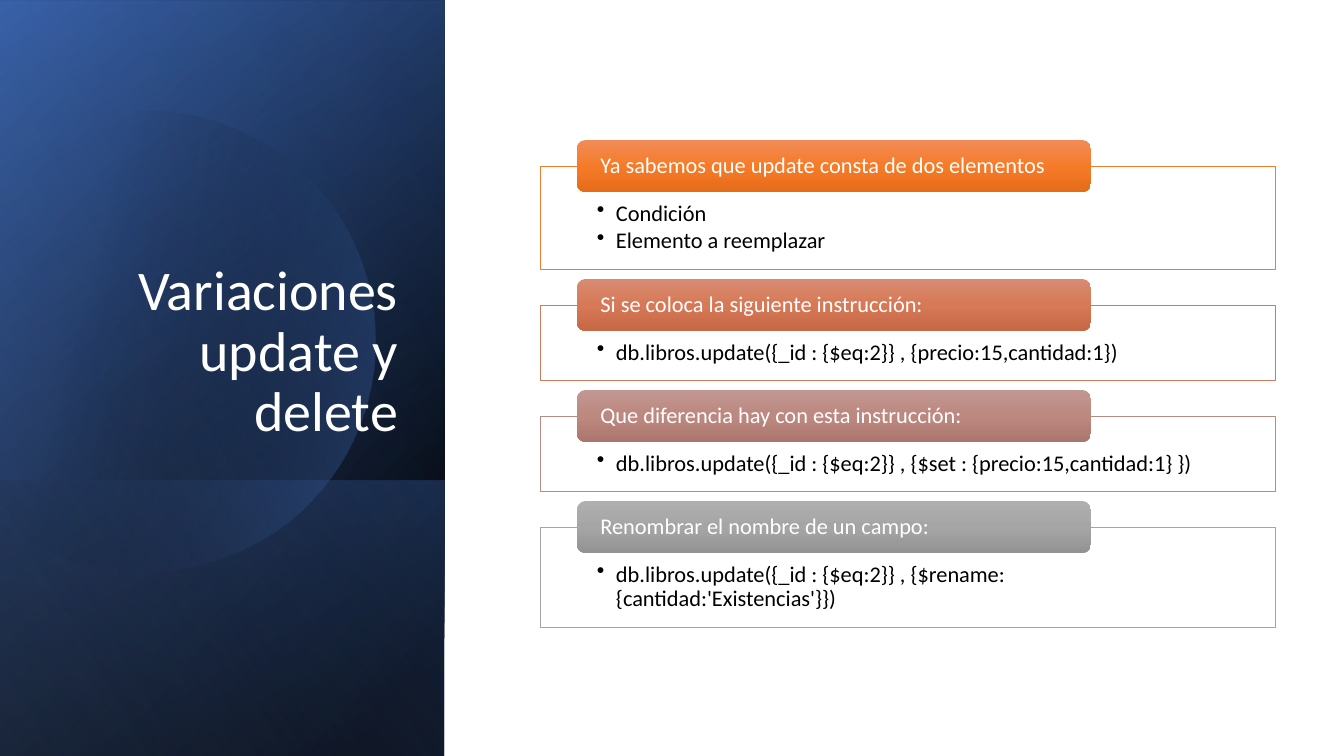
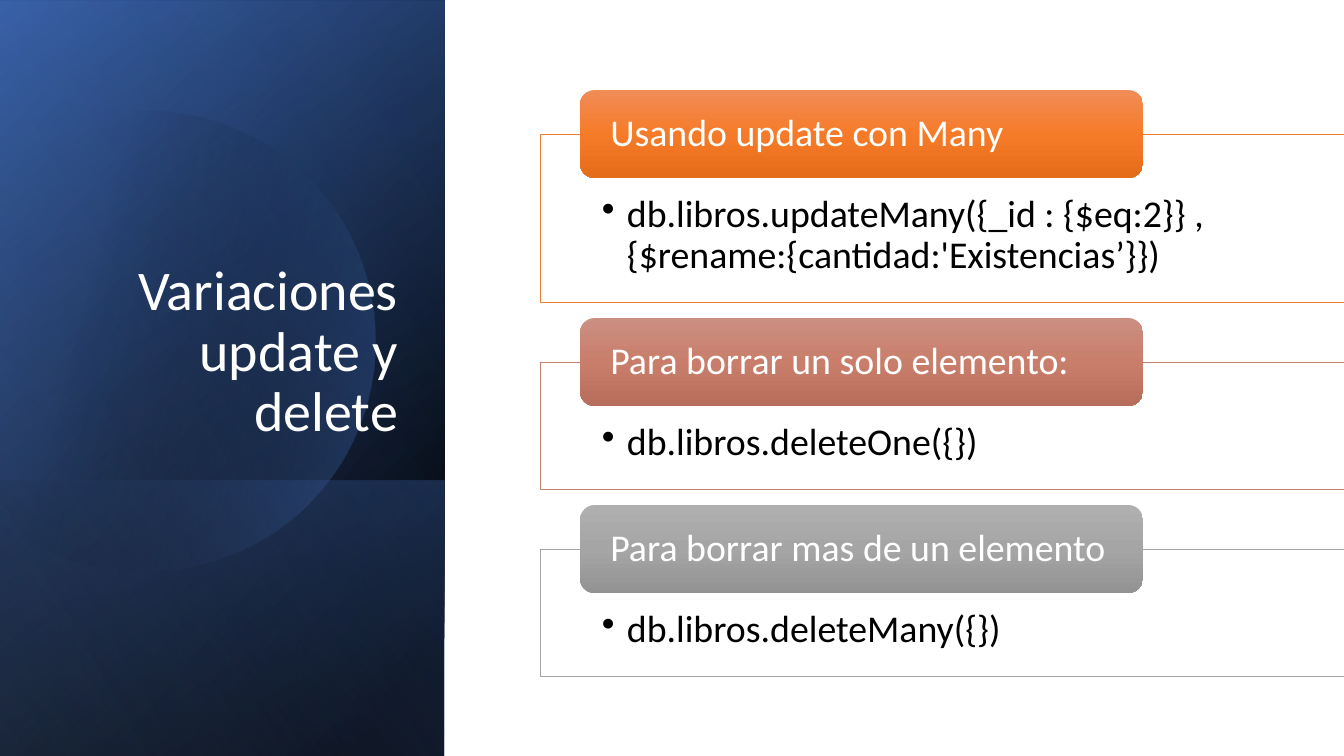
"""Build two slides on update and delete variations."""
from dataclasses import dataclass
from typing import Any

from lxml import etree
from pptx import Presentation
from pptx import util as u
from pptx.dml.color import RGBColor
from pptx.enum import shapes, text
from pptx.oxml import ns

EMU_PER_PIXEL = 914400 / 100.8
WIDTH, HEIGHT = 1344, 756
BAND_WIDTH = 445
FONT = "Calibri"
WHITE, BLACK, BLUE = "FFFFFF", "000000", "4472C4"
TITLE = "Variaciones update y delete"

Point = tuple[int, int]
Box = tuple[int, int, int, int]


@dataclass(frozen=True)
class Stop:
    """One gradient stop; position and opacity in percent."""
    position: int
    color: str
    opacity: int = 100


@dataclass(frozen=True)
class Layer:
    """A full-width gradient layer of the left band."""
    top: int
    height: int
    stops: tuple[Stop, ...]
    angle: int


@dataclass(frozen=True)
class Palette:
    """Outline colour and header gradient of one section."""
    line: str
    header: tuple[str, str, str]


@dataclass(frozen=True)
class Section:
    """A header with the bullets in the panel below it."""
    heading: str
    bullets: tuple[str, ...]
    height: int
    palette: Palette


@dataclass(frozen=True)
class ListStyle:
    """Measures shared by all sections of one slide."""
    top: int
    width: int
    gap: int
    header_height: int
    header_inset: int
    panel_insets: Box
    hanging: int
    size: int


LAYERS = (
    Layer(0, HEIGHT, (Stop(8, BLACK), Stop(100, "2F5597")), 50),
    Layer(0, HEIGHT, (Stop(0, BLACK, 0), Stop(99, BLUE, 46)), 30),
    Layer(480, 276, (Stop(2, BLUE, 29), Stop(100, BLACK, 30)), 130),
)
SHEEN = Layer(0, HEIGHT, (Stop(0, BLACK, 0), Stop(99, "8FAADC", 11)), 120)
DISC_STOPS = (Stop(29, BLACK, 0), Stop(100, BLUE, 43))
DISC_ANGLE = 14
DISC_START = (150, 111)
# Three points are a Bézier curve, one point is a straight line.
DISC_SEGMENTS: tuple[tuple[Point, ...], ...] = (
    ((248, 113), (338, 178), (366, 277)),
    ((401, 401), (331, 527), (209, 562)),
    ((132, 585), (53, 565), (-3, 518)),
    ((-15, 507),),
    ((-15, 176),),
    ((0, 162),),
    ((23, 143), (50, 129), (81, 120)),
    ((104, 114), (127, 111), DISC_START),
)

ORANGE = Palette("ED7D31", ("F18C57", "F67B28", "E56C19"))
TERRACOTTA = Palette("D17B5C", ("D78B72", "D77956", "C66846"))
ROSE = Palette("B98A82", ("C19791", "BC8880", "AA766E"))
BRICK = Palette("C48170", ("CB8F81", "C97E6B", "B76D5B"))
GRAY = Palette("A5A5A5", ("AFAFAF", "A5A5A5", "939393"))

UPDATE_STYLE = ListStyle(166, 735, 36, 52, 21, (57, 36, 57, 12), 19, 16)
UPDATE_SECTIONS = (
    Section("Ya sabemos que update consta de dos elementos",
            ("Condición", "Elemento a reemplazar"), 103, ORANGE),
    Section("Si se coloca la siguiente instrucción:",
            ("db.libros.update({_id : {$eq:2}} , {precio:15,cantidad:1})",),
            75, TERRACOTTA),
    Section("Que diferencia hay con esta instrucción:",
            ("db.libros.update({_id : {$eq:2}} , "
             "{$set : {precio:15,cantidad:1} })",), 75, ROSE),
    Section("Renombrar el nombre de un campo:",
            ("db.libros.update({_id : {$eq:2}} , "
             "{$rename:{cantidad:'Existencias'}})",), 100, GRAY),
)
DELETE_STYLE = ListStyle(134, 804, 60, 88, 26, (62, 61, 62, 21), 25, 27)
DELETE_SECTIONS = (
    Section("Usando update con Many",
            ("db.libros.updateMany({_id : {$eq:2}} , "
             "{$rename:{cantidad:'Existencias’}})",), 168, ORANGE),
    Section("Para borrar un solo elemento:",
            ("db.libros.deleteOne({})",), 127, BRICK),
    Section("Para borrar mas de un elemento",
            ("db.libros.deleteMany({})",), 127, GRAY),
)
SECTIONS_LEFT = 540


def px(pixels: float) -> u.Emu:
    """Turn pixels into EMU."""
    return u.Emu(round(pixels * EMU_PER_PIXEL))


def rgb(color: str) -> RGBColor:
    """Turn a hex string into a colour."""
    return RGBColor.from_string(color)


def apply(target: Any, values: dict[str, Any]) -> None:
    """Set every attribute named in values."""
    for name, value in values.items():
        setattr(target, name, value)


def add_child(parent: Any, tag: str, **attributes: object) -> Any:
    """Append a DrawingML element."""
    return etree.SubElement(parent, ns.qn(f"a:{tag}"),
                            {key: str(value) for key, value in attributes.items()})


def fill_gradient(shape: Any, stops: tuple[Stop, ...], angle: int) -> None:
    """Give a shape a borderless linear gradient with opacities."""
    shape.shadow.inherit = False
    shape.line.fill.background()
    shape.fill.gradient()
    gradient = shape._element.spPr.find(ns.qn("a:gradFill"))
    for child in list(gradient):
        gradient.remove(child)
    stop_list = add_child(gradient, "gsLst")
    for stop in stops:
        mark = add_child(stop_list, "gs", pos=stop.position * 1000)
        color = add_child(mark, "srgbClr", val=stop.color)
        if stop.opacity < 100:
            add_child(color, "alpha", val=stop.opacity * 1000)
    add_child(gradient, "lin", ang=angle * 60000, scaled=0)
    gradient.set("rotWithShape", "1")


def add_shape(slide: Any, kind: shapes.MSO_SHAPE, box: Box) -> Any:
    """Add a preset shape at a pixel box."""
    return slide.shapes.add_shape(kind, *(px(length) for length in box))


def add_layer(slide: Any, layer: Layer) -> None:
    """Draw a layer as a mirrored rectangle turned a quarter."""
    left = round((BAND_WIDTH - layer.height) / 2)
    top = round(layer.top + (layer.height - BAND_WIDTH) / 2)
    sheet = add_shape(slide, shapes.MSO_SHAPE.RECTANGLE,
                      (left, top, layer.height, BAND_WIDTH))
    sheet.rotation = 90
    sheet._element.spPr.find(ns.qn("a:xfrm")).set("flipH", "1")
    fill_gradient(sheet, layer.stops, layer.angle)


def bezier(points: tuple[Point, ...], steps: int = 24) -> list[tuple[float, float]]:
    """Return points along a cubic curve, without its start."""
    curve = []
    for step in range(1, steps + 1):
        t = step / steps
        weights = ((1 - t) ** 3, 3 * t * (1 - t) ** 2, 3 * t * t * (1 - t), t ** 3)
        curve.append((sum(w * p[0] for w, p in zip(weights, points)),
                      sum(w * p[1] for w, p in zip(weights, points))))
    return curve


def add_disc(slide: Any) -> None:
    """Draw the translucent disc cut off at the left edge."""
    outline: list[tuple[float, float]] = []
    pen = DISC_START
    for segment in DISC_SEGMENTS:
        outline += bezier((pen, *segment)) if len(segment) == 3 else segment
        pen = segment[-1]
    builder = slide.shapes.build_freeform(px(DISC_START[0]), px(DISC_START[1]))
    builder.add_line_segments([(px(x), px(y)) for x, y in outline], close=True)
    fill_gradient(builder.convert_to_shape(), DISC_STOPS, DISC_ANGLE)


def write(shape: Any, lines: tuple[str, ...], size: int, color: str, insets: Box,
          anchor: text.MSO_ANCHOR, align: text.PP_ALIGN, after: float = 0) -> None:
    """Write formatted paragraphs into a shape."""
    frame = shape.text_frame
    left, top, right, bottom = (px(inset) for inset in insets)
    apply(frame, {"margin_left": left, "margin_top": top, "margin_right": right,
                  "margin_bottom": bottom, "word_wrap": True,
                  "auto_size": text.MSO_AUTO_SIZE.NONE, "vertical_anchor": anchor})
    for number, line in enumerate(lines):
        paragraph = frame.add_paragraph() if number else frame.paragraphs[0]
        apply(paragraph, {"alignment": align, "line_spacing": 0.9,
                          "space_before": u.Pt(0), "space_after": u.Pt(after)})
        run = paragraph.add_run()
        apply(run, {"text": line})
        apply(run.font, {"name": FONT, "size": u.Pt(size)})
        run.font.color.rgb = rgb(color)


def add_bullets(shape: Any, hanging: int) -> None:
    """Turn the paragraphs of a shape into a bulleted list."""
    for paragraph in shape.text_frame.paragraphs:
        paragraph.level = 1
        properties = paragraph._p.get_or_add_pPr()
        properties.set("marL", str(px(hanging)))
        properties.set("indent", str(-px(hanging)))
        add_child(properties, "buChar", char="•")


def add_section(slide: Any, section: Section, top: int, style: ListStyle) -> None:
    """Draw a panel with its header centred on the upper edge."""
    panel = add_shape(slide, shapes.MSO_SHAPE.RECTANGLE,
                      (SECTIONS_LEFT, top, style.width, section.height))
    panel.shadow.inherit = False
    panel.fill.solid()
    panel.fill.fore_color.rgb = rgb(WHITE)
    white = panel._element.spPr.find(ns.qn("a:solidFill"))[0]
    add_child(white, "alpha", val=90000)
    panel.line.color.rgb = rgb(section.palette.line)
    panel.line.width = u.Pt(0.5)
    write(panel, section.bullets, style.size, BLACK, style.panel_insets,
          text.MSO_ANCHOR.TOP, text.PP_ALIGN.LEFT, after=style.size * 0.15)
    add_bullets(panel, style.hanging)

    header = add_shape(slide, shapes.MSO_SHAPE.ROUNDED_RECTANGLE,
                       (SECTIONS_LEFT + round(style.width * 0.05),
                        top - style.header_height // 2,
                        round(style.width * 0.7), style.header_height))
    light, middle, dark = section.palette.header
    fill_gradient(header, (Stop(0, light), Stop(50, middle), Stop(100, dark)), 90)
    write(header, (section.heading,), style.size, WHITE,
          (style.header_inset, 0, style.header_inset, 0),
          text.MSO_ANCHOR.MIDDLE, text.PP_ALIGN.LEFT)


def add_title(slide: Any) -> None:
    """Place the title on top of the band."""
    title = slide.shapes.title
    slide.shapes._spTree.append(title._element)
    apply(title, {"left": px(64), "top": px(185), "width": px(344), "height": px(264)})
    write(title, (TITLE,), 40, WHITE, (10, 5, 10, 5),
          text.MSO_ANCHOR.BOTTOM, text.PP_ALIGN.RIGHT)


def add_slide(deck: Any, sections: tuple[Section, ...], style: ListStyle) -> None:
    """Build one slide: band, title and stacked sections."""
    slide = deck.slides.add_slide(deck.slide_layouts.get_by_name("Title Only"))
    for layer in LAYERS:
        add_layer(slide, layer)
    add_disc(slide)
    add_layer(slide, SHEEN)
    add_title(slide)
    top = style.top
    for section in sections:
        add_section(slide, section, top, style)
        top += section.height + style.gap


presentation = Presentation()
apply(presentation, {"slide_width": px(WIDTH), "slide_height": px(HEIGHT)})
add_slide(presentation, UPDATE_SECTIONS, UPDATE_STYLE)
add_slide(presentation, DELETE_SECTIONS, DELETE_STYLE)
presentation.save("out.pptx")
